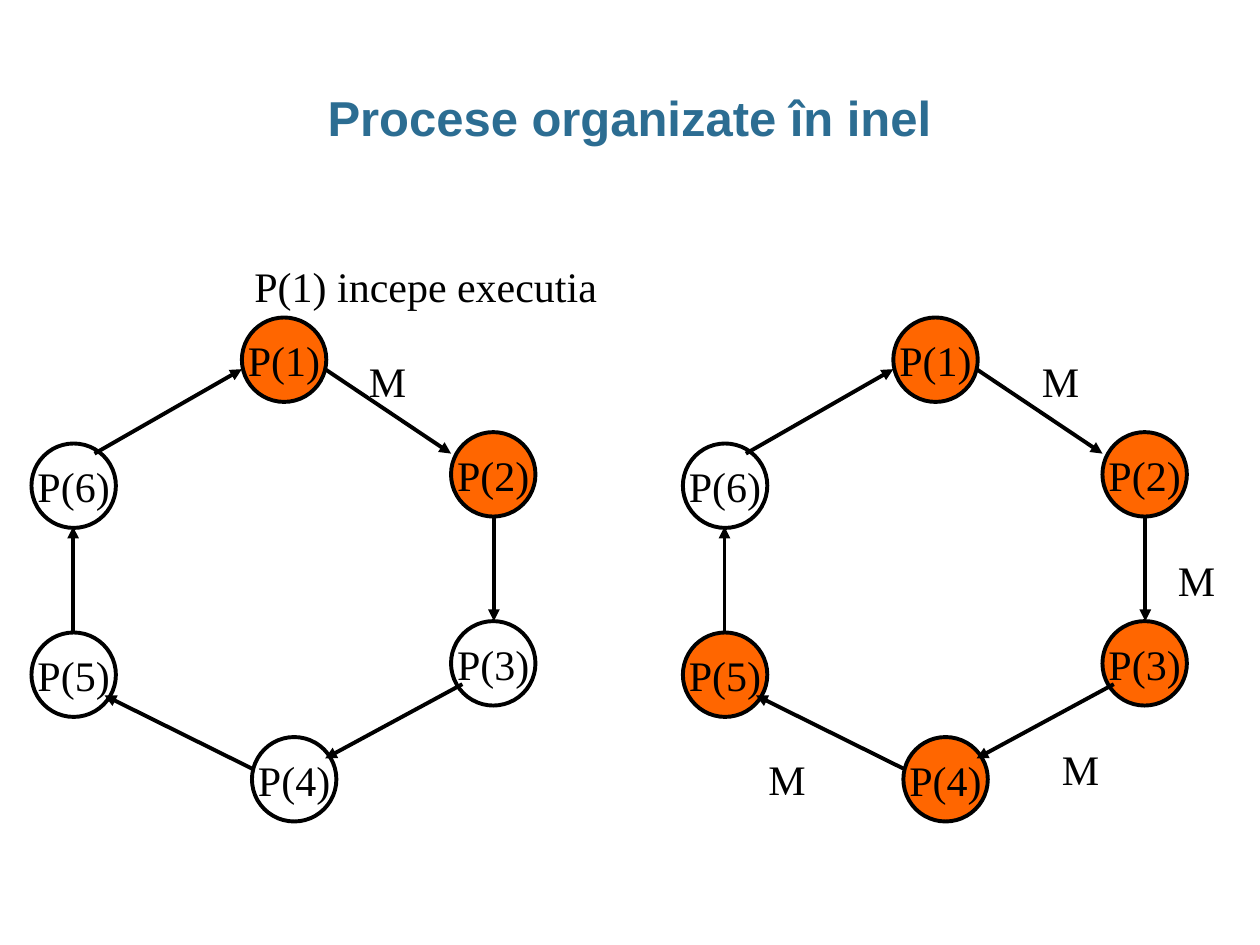
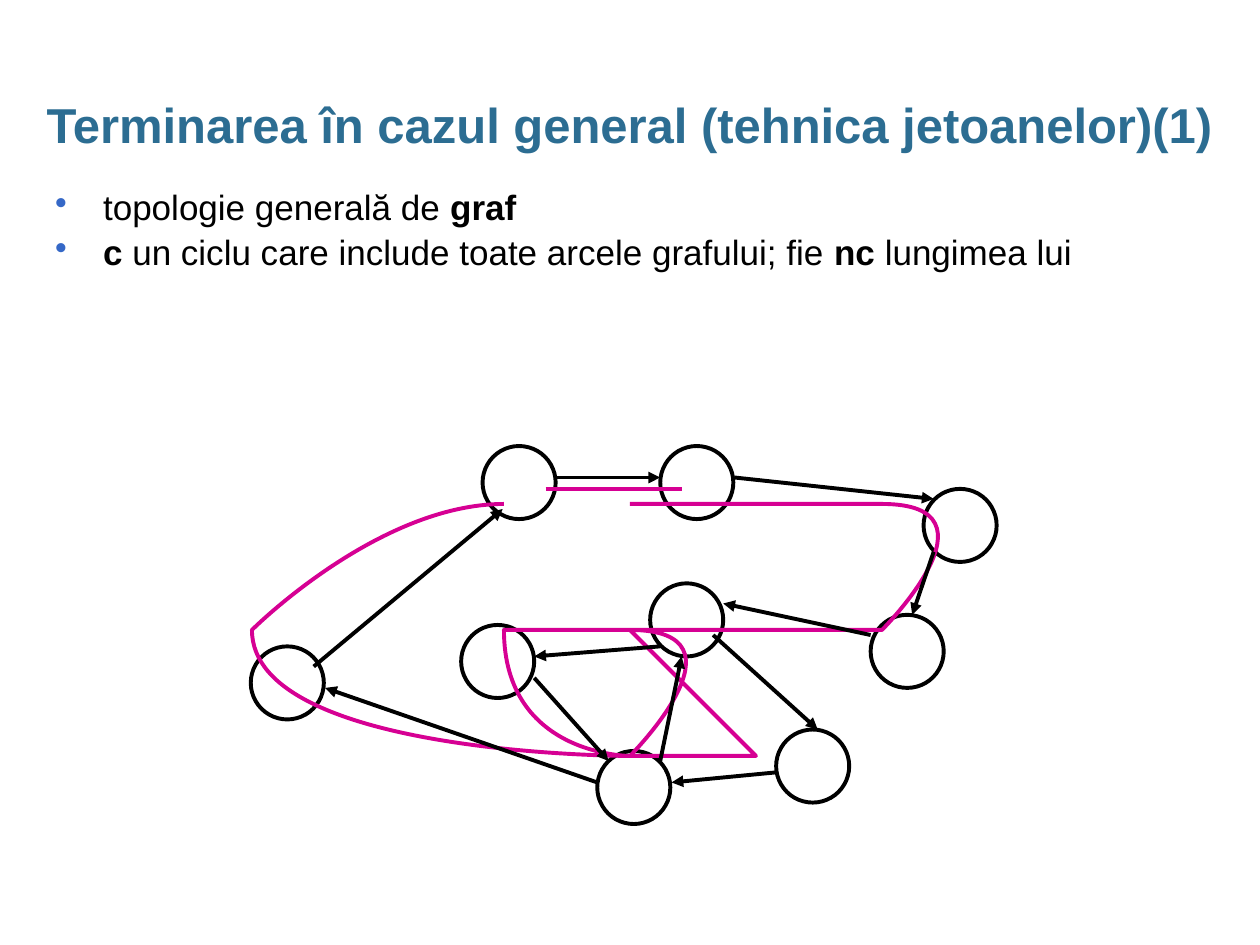
import pptx
import pptx.util
import pptx.dml.color
import pptx.enum.shapes
import pptx.enum.text
import pptx.oxml
import pptx.oxml.ns
from lxml import etree

Inches, Pt = pptx.util.Inches, pptx.util.Pt
RGB = pptx.dml.color.RGBColor
ALIGN = pptx.enum.text.PP_ALIGN
ANCHOR = pptx.enum.text.MSO_ANCHOR
qn = pptx.oxml.ns.qn


class Theme:
    title_color = RGB.from_string("2C6D92")
    ink = RGB.from_string("000000")
    active = RGB.from_string("FF6600")
    cycle = RGB.from_string("D60093")
    bullet = "3568C7"
    sans, serif = "Arial", "Times New Roman"
    title_size, title_end_size = Pt(28), Pt(32)
    label_size, body_size = Pt(24), Pt(20)
    line_width = Pt(2.25)


def add_node(slide, x, y, diameter, label="", active=False):
    node = slide.shapes.add_shape(
        pptx.enum.shapes.MSO_SHAPE.OVAL,
        Inches(x), Inches(y), Inches(diameter), Inches(diameter))
    node.shadow.inherit = False
    if active:
        node.fill.solid()
        node.fill.fore_color.rgb = Theme.active
    else:
        node.fill.background()
    node.line.color.rgb = Theme.ink
    node.line.width = Theme.line_width
    if label:
        frame = node.text_frame
        frame.word_wrap = False
        frame.vertical_anchor = ANCHOR.MIDDLE
        frame.text = label
        frame.paragraphs[0].alignment = ALIGN.CENTER
        font = frame.paragraphs[0].runs[0].font
        font.name, font.size, font.color.rgb = Theme.serif, Theme.label_size, Theme.ink


def add_line(slide, start, end, color=Theme.ink, arrow=True):
    line = slide.shapes.add_connector(
        pptx.enum.shapes.MSO_CONNECTOR.STRAIGHT,
        *(Inches(value) for value in (*start, *end)))
    line.line.color.rgb = color
    line.line.width = Theme.line_width
    properties = line._element.spPr
    if arrow:
        etree.SubElement(properties.find(qn("a:ln")), qn("a:tailEnd"), type="triangle")
    etree.SubElement(properties, qn("a:effectLst"))


deck = pptx.Presentation()
deck.slide_width, deck.slide_height = Inches(10), Inches(7.5)

# Slides with their titles; a larger closing space sets the second title lower
titles = [["Procese organizate în inel"],
          ["Terminarea în cazul general (tehnica jetoanelor)(1)", " "]]
for title_parts in titles:
    title = deck.slides.add_slide(deck.slide_layouts[5]).shapes.title
    title.left, title.top = Inches(0.34), Inches(0.68)
    title.width, title.height = Inches(9.31), Inches(0.5)
    frame = title.text_frame
    frame.margin_left = frame.margin_right = 0
    frame.word_wrap = True
    frame.auto_size = pptx.enum.text.MSO_AUTO_SIZE.NONE
    frame.vertical_anchor = ANCHOR.TOP
    heading = frame.paragraphs[0]
    heading.alignment, heading.line_spacing = ALIGN.CENTER, 0.95
    for part, size in zip(title_parts, (Theme.title_size, Theme.title_end_size)):
        run = heading.add_run()
        run.text = part
        run.font.name, run.font.size, run.font.bold = Theme.sans, size, True
        run.font.color.rgb = Theme.title_color
ring_slide, graph_slide = deck.slides

# Two states of the ring: same layout, different active processes
ring_nodes = [(1.67, 2.52), (3.33, 3.43), (3.33, 4.93),
              (1.75, 5.85), (0, 5.02), (0, 3.52)]
ring_arrows = [((2.33, 2.93), (3.33, 3.6)), ((3.67, 4.1), (3.67, 4.93)),
               ((3.42, 5.43), (2.33, 6.02)), ((1.75, 6.1), (0.58, 5.52)),
               ((0.33, 5.02), (0.33, 4.18)), ((0.5, 3.6), (1.67, 2.93))]
for ring_left, active_count in ((0.25, 2), (5.42, 5)):
    for number, (x, y) in enumerate(ring_nodes, 1):
        add_node(ring_slide, ring_left + x, y, 0.67, f"P({number})", number <= active_count)
    for (x1, y1), (x2, y2) in ring_arrows:
        add_line(ring_slide, (ring_left + x1, y1), (ring_left + x2, y2))

# Messages on the arcs and the starting remark
ring_labels = [("M", 2.83, 2.77, 0.67), ("M", 8.17, 2.77, 0.5), ("M", 9.25, 4.35, 0.5),
               ("M", 8.33, 5.85, 0.5), ("M", 6, 5.93, 0.5),
               ("P(1) incepe executia", 1.92, 2.02, 3.42)]
for text, x, y, width in ring_labels:
    message = ring_slide.shapes.add_textbox(Inches(x), Inches(y), Inches(width), Inches(0.5))
    message.text_frame.word_wrap = True
    message.text_frame.text = text
    font = message.text_frame.paragraphs[0].runs[0].font
    font.name, font.size, font.color.rgb = Theme.serif, Theme.label_size, Theme.ink

# Bullets on the general graph: (text, bold) parts
points = [[("topologie generală de ", False), ("graf", True)],
          [("c", True), (" un ciclu care include toate arcele grafului; fie ", False),
           ("nc ", True), ("lungimea lui", False)]]
body = graph_slide.shapes.add_textbox(Inches(0.34), Inches(1.46), Inches(9.66), Inches(5.72))
body.text_frame.word_wrap = True
for index, parts in enumerate(points):
    point = body.text_frame.add_paragraph() if index else body.text_frame.paragraphs[0]
    point.line_spacing = 0.9
    point.space_before = Pt(4 * index)
    layout = point._p.get_or_add_pPr()
    layout.set("marL", str(Inches(0.38)))
    layout.set("indent", str(-Inches(0.38)))
    bullet_color = etree.SubElement(layout, qn("a:buClr"))
    etree.SubElement(bullet_color, qn("a:srgbClr"), val=Theme.bullet)
    etree.SubElement(layout, qn("a:buChar"), char="•")
    for text, bold in parts:
        run = point.add_run()
        run.text = text
        run.font.name, run.font.size, run.font.bold = Theme.sans, Theme.body_size, bold
        run.font.color.rgb = Theme.ink

# Graph nodes
graph_nodes = [(3.83, 3.54), (5.24, 3.54), (5.16, 4.63), (3.66, 4.96), (7.33, 3.88),
               (6.91, 4.88), (4.74, 5.96), (6.16, 5.79), (1.99, 5.13)]
for x, y in graph_nodes:
    add_node(graph_slide, x, y, 0.58)

# Cycle through all arcs: a straight start, then cubic curves (two controls and an end)
cycle_start = (5.41, 3.88)
add_line(graph_slide, (4.33, 3.88), cycle_start, Theme.cycle, arrow=False)
cycle_curves = [
    (6.31, 3.93), (7.2, 3.99), (7.49, 4.21),
    (7.79, 4.43), (7.49, 5.1), (7.16, 5.21),
    (6.83, 5.32), (5.62, 4.74), (5.49, 4.88),
    (5.37, 5.02), (6.48, 5.82), (6.41, 6.04),
    (6.34, 6.27), (5.26, 6.38), (5.08, 6.21),
    (4.9, 6.04), (5.51, 5.2), (5.33, 5.04),
    (5.15, 4.89), (4.08, 5.09), (3.99, 5.29),
    (3.91, 5.5), (5.11, 6.27), (4.83, 6.29),
    (4.55, 6.32), (2.45, 5.86), (2.33, 5.46),
    (2.2, 5.06), (3.14, 4.47), (4.08, 3.88)]
builder = graph_slide.shapes.build_freeform(*cycle_start, scale=Inches(1))
builder.add_line_segments(cycle_curves, close=False)
cycle = builder.convert_to_shape()
cycle.shadow.inherit = False
cycle.fill.background()
cycle.line.color.rgb = Theme.cycle
cycle.line.width = Theme.line_width

# Turn each three segments into one cubic curve
segments = list(cycle._element.iter(qn("a:lnTo")))
for first in range(0, len(segments), 3):
    curve = etree.Element(qn("a:cubicBezTo"))
    segments[first].addprevious(curve)
    for segment in segments[first:first + 3]:
        curve.append(segment[0])
        segment.getparent().remove(segment)

# Graph arcs
graph_arcs = [((4.41, 3.79), (5.24, 3.79)), ((5.83, 3.79), (7.41, 3.96)),
              ((7.41, 4.38), (7.24, 4.88)), ((6.91, 5.04), (5.74, 4.79)),
              ((5.66, 5.04), (6.49, 5.79)), ((6.16, 6.13), (5.33, 6.21)),
              ((5.24, 6.04), (5.41, 5.21)), ((5.24, 5.13), (4.24, 5.21)),
              ((4.24, 5.38), (4.83, 6.04)), ((4.74, 6.21), (2.58, 5.46)),
              ((2.49, 5.29), (3.99, 4.04))]
for start, end in graph_arcs:
    add_line(graph_slide, start, end)

deck.save("out.pptx")
